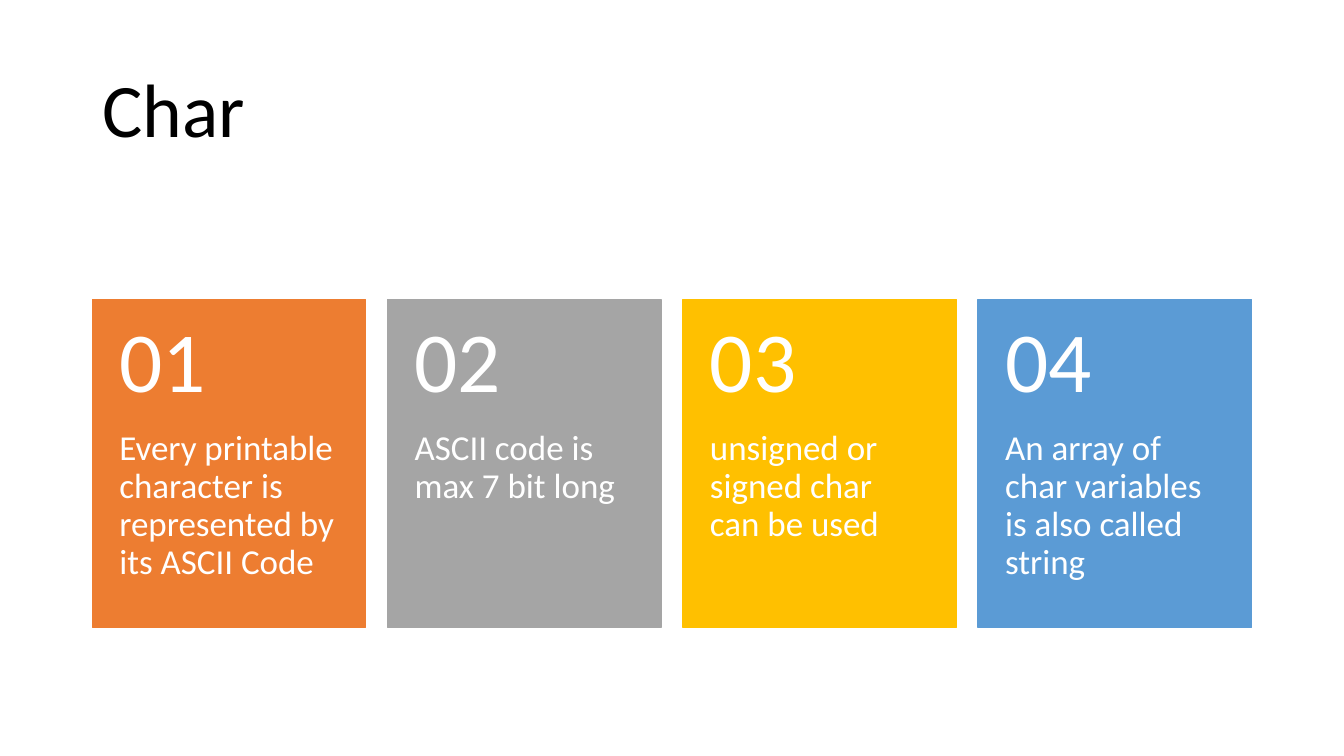
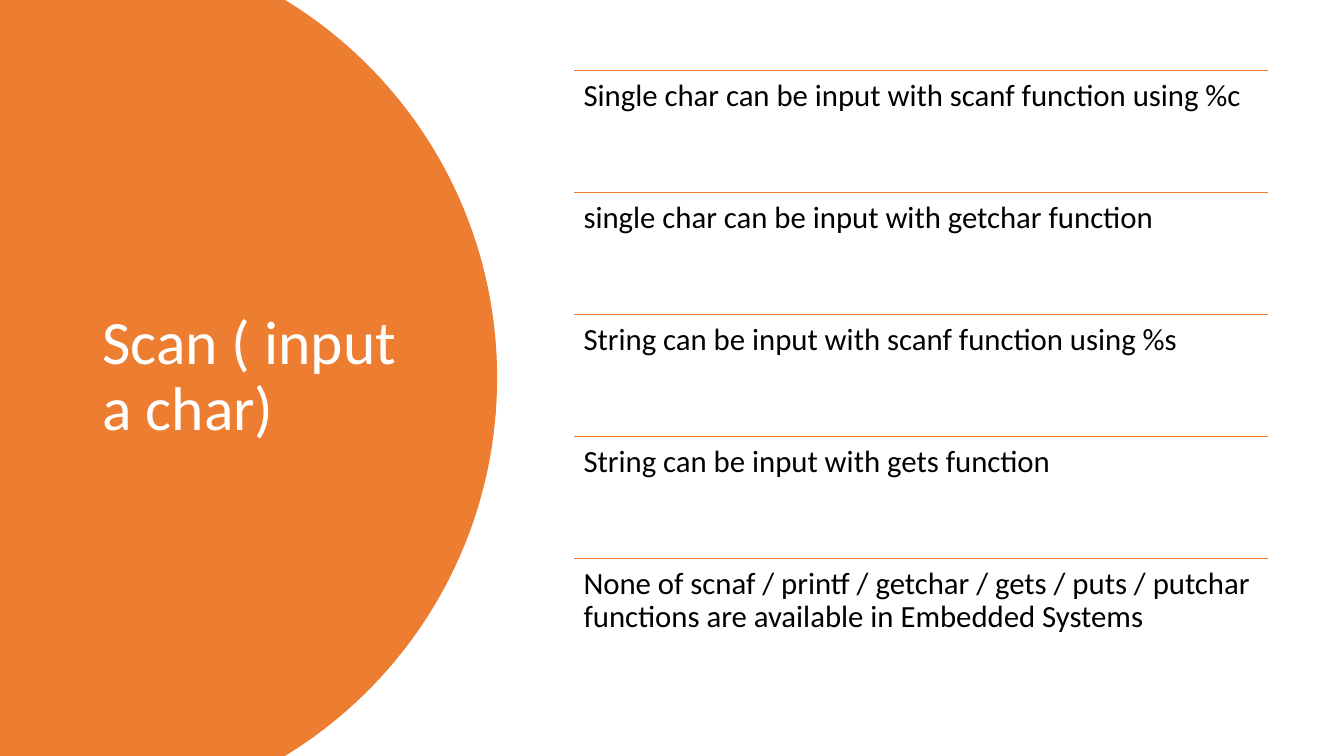
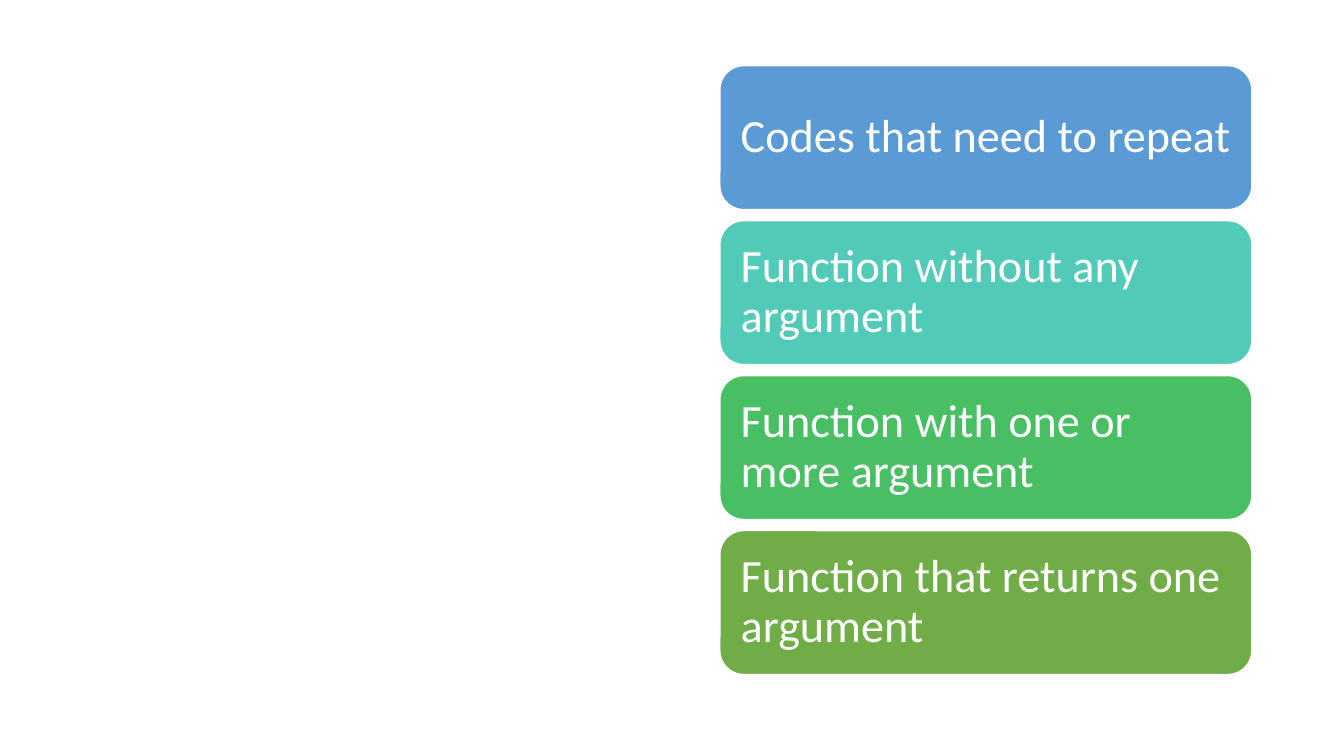
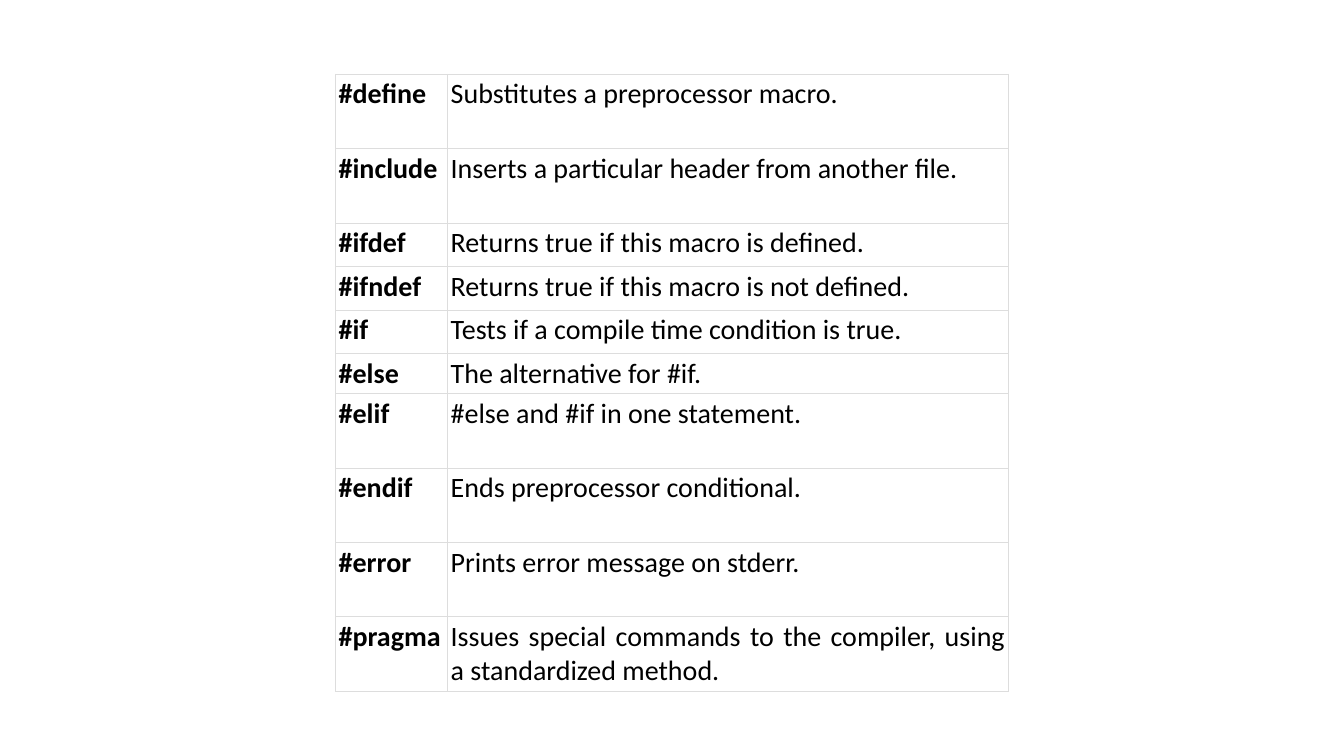
from dataclasses import dataclass

from lxml.etree import SubElement
from pptx import Presentation
from pptx.dml.color import RGBColor
from pptx.enum.shapes import MSO_CONNECTOR, MSO_SHAPE
from pptx.enum.text import MSO_ANCHOR as Anchor, PP_ALIGN as Align
from pptx.oxml import parse_xml
from pptx.oxml.ns import nsdecls, qn
from pptx.util import Pt

FONT = "Calibri"
BLACK = RGBColor(0x00, 0x00, 0x00)
WHITE = RGBColor(0xFF, 0xFF, 0xFF)
ORANGE = RGBColor(0xED, 0x7D, 0x31)
GRAY = RGBColor(0xA5, 0xA5, 0xA5)
GOLD = RGBColor(0xFF, 0xC0, 0x00)
BLUE = RGBColor(0x5B, 0x9B, 0xD5)
TEAL = RGBColor(0x52, 0xCA, 0xB8)
GREEN = RGBColor(0x49, 0xBF, 0x64)
OLIVE = RGBColor(0x70, 0xAD, 0x47)
BORDER = RGBColor(0xDD, 0xDD, 0xDD)

SLIDE_WIDTH, SLIDE_HEIGHT = 960, 540
MARGIN = 66
CONTENT_WIDTH = SLIDE_WIDTH - 2 * MARGIN


@dataclass(frozen=True)
class Box:
    left: float
    top: float
    width: float
    height: float

    def lengths(self) -> tuple:
        return Pt(self.left), Pt(self.top), Pt(self.width), Pt(self.height)


@dataclass(frozen=True)
class Item:
    text: str
    color: RGBColor


@dataclass(frozen=True)
class Directive:
    name: str
    meaning: str
    height: float


CARDS = [
    Item("Every printable character is represented by its ASCII Code", ORANGE),
    Item("ASCII code is max 7 bit long", GRAY),
    Item("unsigned or signed char can be used", GOLD),
    Item("An array of char variables is also called string", BLUE),
]

INPUT_NOTES = [
    "Single char can be input with scanf function using %c",
    "single char can be input with getchar function",
    "String can be input with scanf function using %s",
    "String can be input with gets function",
    "None of scnaf / printf / getchar / gets / puts / putchar functions "
    "are available in Embedded Systems",
]

FUNCTION_KINDS = [
    Item("Codes that need to repeat", BLUE),
    Item("Function without any argument", TEAL),
    Item("Function with one or more argument", GREEN),
    Item("Function that returns one argument", OLIVE),
]

TALL, MEDIUM, SHORT = 53.1, 31.1, 28.4
DIRECTIVES = [
    Directive("#define", "Substitutes a preprocessor macro.", TALL),
    Directive("#include", "Inserts a particular header from another file.", TALL),
    Directive("#ifdef", "Returns true if this macro is defined.", MEDIUM),
    Directive("#ifndef", "Returns true if this macro is not defined.", MEDIUM),
    Directive("#if", "Tests if a compile time condition is true.", MEDIUM),
    Directive("#else", "The alternative for #if.", SHORT),
    Directive("#elif", "#else and #if in one statement.", TALL),
    Directive("#endif", "Ends preprocessor conditional.", TALL),
    Directive("#error", "Prints error message on stderr.", TALL),
    Directive("#pragma", "Issues special commands to the compiler, using "
              "a standardized method.", TALL),
]


def write(frame, text: str, *, size: float, color: RGBColor = BLACK,
          bold: bool = False, align=Align.LEFT, anchor=Anchor.TOP,
          spacing: float = 0.9, insets: tuple = (7.2, 3.6, 7.2, 3.6)) -> None:
    """Fill a text frame; insets run left, top, right, bottom."""
    frame.word_wrap = True
    frame.vertical_anchor = anchor
    (frame.margin_left, frame.margin_top,
     frame.margin_right, frame.margin_bottom) = map(Pt, insets)
    paragraph = frame.paragraphs[0]
    paragraph.alignment = align
    paragraph.line_spacing = spacing
    run = paragraph.add_run()
    run.text = text
    run.font.name = FONT
    run.font.size = Pt(size)
    run.font.bold = bold
    run.font.color.rgb = color


def add_text(slide, box: Box, text: str, **text_format) -> None:
    write(slide.shapes.add_textbox(*box.lengths()).text_frame, text, **text_format)


def add_title(slide, box: Box, text: str, size: float, color: RGBColor) -> None:
    add_text(slide, box, text, size=size, color=color, anchor=Anchor.MIDDLE)


def paint(shape, fill: RGBColor, line: RGBColor) -> None:
    shape.shadow.inherit = False
    shape.fill.solid()
    shape.fill.fore_color.rgb = fill
    shape.line.color.rgb = line
    shape.line.width = Pt(1)


def add_rule(slide, left: float, top: float, width: float) -> None:
    rule = slide.shapes.add_connector(
        MSO_CONNECTOR.STRAIGHT, Pt(left), Pt(top), Pt(left + width), Pt(top))
    rule.line.color.rgb = ORANGE
    rule.line.width = Pt(1)
    SubElement(rule._element.spPr, qn("a:effectLst"))


def set_borders(cell) -> None:
    properties = cell._tc.get_or_add_tcPr()
    for index, side in enumerate(("lnL", "lnR", "lnT", "lnB")):
        properties.insert(index, parse_xml(
            f'<a:{side} {nsdecls("a")} w="{Pt(0.6)}"><a:solidFill>'
            f'<a:srgbClr val="{BORDER}"/></a:solidFill></a:{side}>'))


def cubic_points(start, control_1, control_2, end, steps: int = 40) -> list:
    points = []
    for step in range(steps + 1):
        t = step / steps
        weights = ((1 - t) ** 3, 3 * t * (1 - t) ** 2, 3 * t * t * (1 - t), t ** 3)
        corners = (start, control_1, control_2, end)
        points.append(tuple(sum(weight * corner[axis]
                                for weight, corner in zip(weights, corners))
                            for axis in (0, 1)))
    return points


def add_round_panel(slide) -> None:
    """Draw the left panel whose right side bulges to the middle height."""
    upper = cubic_points((203.6, 0), (294.5, 55.4), (355.1, 155.5),
                         (355.1, SLIDE_HEIGHT / 2))
    lower = [(x, SLIDE_HEIGHT - y) for x, y in reversed(upper[:-1])]
    outline = [(Pt(x), Pt(y)) for x, y in upper + lower + [(0, SLIDE_HEIGHT)]]
    builder = slide.shapes.build_freeform(0, 0)
    builder.add_line_segments(outline, close=True)
    panel = builder.convert_to_shape()
    paint(panel, ORANGE, ORANGE)
    panel.line.fill.background()


def build_char_slide(slide) -> None:
    add_title(slide, Box(MARGIN, 28.8, CONTENT_WIDTH, 104.4), "Char", 54, BLACK)
    gap, top, height, number_height, inset = 15.6, 213.8, 234.3, 93.7, 19.3
    width = (CONTENT_WIDTH - gap * (len(CARDS) - 1)) / len(CARDS)
    for index, card in enumerate(CARDS):
        left = MARGIN + index * (width + gap)
        rectangle = slide.shapes.add_shape(
            MSO_SHAPE.RECTANGLE, *Box(left, top, width, height).lengths())
        paint(rectangle, card.color, card.color)
        add_text(slide, Box(left, top + number_height, width, height - number_height),
                 card.text, size=25, color=WHITE, insets=(inset, 0, inset, 26))
        add_text(slide, Box(left, top, width, number_height), f"{index + 1:02}",
                 size=61, color=WHITE, anchor=Anchor.MIDDLE,
                 insets=(inset, 13, inset, 13))


def build_scan_slide(slide) -> None:
    add_round_panel(slide)
    add_title(slide, Box(MARGIN, 50.4, 232.6, 438.5), "Scan ( input a char)", 44, WHITE)
    left, top, width, pitch = 410.2, 50.5, 495.4, 87.1
    for index, note in enumerate(INPUT_NOTES):
        row_top = top + index * pitch
        add_rule(slide, left, row_top, width)
        add_text(slide, Box(left, row_top, width, pitch), note, size=22,
                 insets=(6.6, 6.6, 6.6, 6.6))


def build_function_slide(slide) -> None:
    left, top, width, height, pitch = 514.2, 46.9, 380, 102.8, 110.7
    for index, kind in enumerate(FUNCTION_KINDS):
        box = Box(left, top + index * pitch, width, height)
        bar = slide.shapes.add_shape(MSO_SHAPE.ROUNDED_RECTANGLE, *box.lengths())
        paint(bar, kind.color, WHITE)
        write(bar.text_frame, kind.text, size=33, color=WHITE,
              anchor=Anchor.MIDDLE, insets=(9.9, 9.9, 9.9, 9.9))


def build_directive_slide(slide) -> None:
    column_widths = (80, 400.4)
    box = Box(239.8, 53.1, sum(column_widths), sum(row.height for row in DIRECTIVES))
    table = slide.shapes.add_table(
        len(DIRECTIVES), len(column_widths), *box.lengths()).table
    table.first_row = table.horz_banding = False
    for column, width in zip(table.columns, column_widths):
        column.width = Pt(width)
    for row, directive in zip(table.rows, DIRECTIVES):
        row.height = Pt(directive.height)
        cell_formats = ((directive.name, True, Align.LEFT),
                        (directive.meaning, False, Align.JUSTIFY))
        for cell, (text, bold, align) in zip(row.cells, cell_formats):
            cell.fill.background()
            set_borders(cell)
            # A cell keeps its margins and anchor itself, not in its text frame.
            cell.vertical_anchor = Anchor.TOP
            cell.margin_left = cell.margin_right = Pt(2.1)
            cell.margin_top = cell.margin_bottom = Pt(2.1)
            write_cell(cell, text, bold, align)


def write_cell(cell, text: str, bold: bool, align) -> None:
    """Write cell text, leaving the frame's own body settings at zero."""
    write(cell.text_frame, text, size=20, bold=bold, align=align,
          spacing=1.0, insets=(0, 0, 0, 0))


def main() -> None:
    presentation = Presentation()
    presentation.slide_width = Pt(SLIDE_WIDTH)
    presentation.slide_height = Pt(SLIDE_HEIGHT)
    blank_layout = presentation.slide_layouts[6]
    for build in (build_char_slide, build_scan_slide,
                  build_function_slide, build_directive_slide):
        build(presentation.slides.add_slide(blank_layout))
    presentation.save("out.pptx")


if __name__ == "__main__":
    main()
